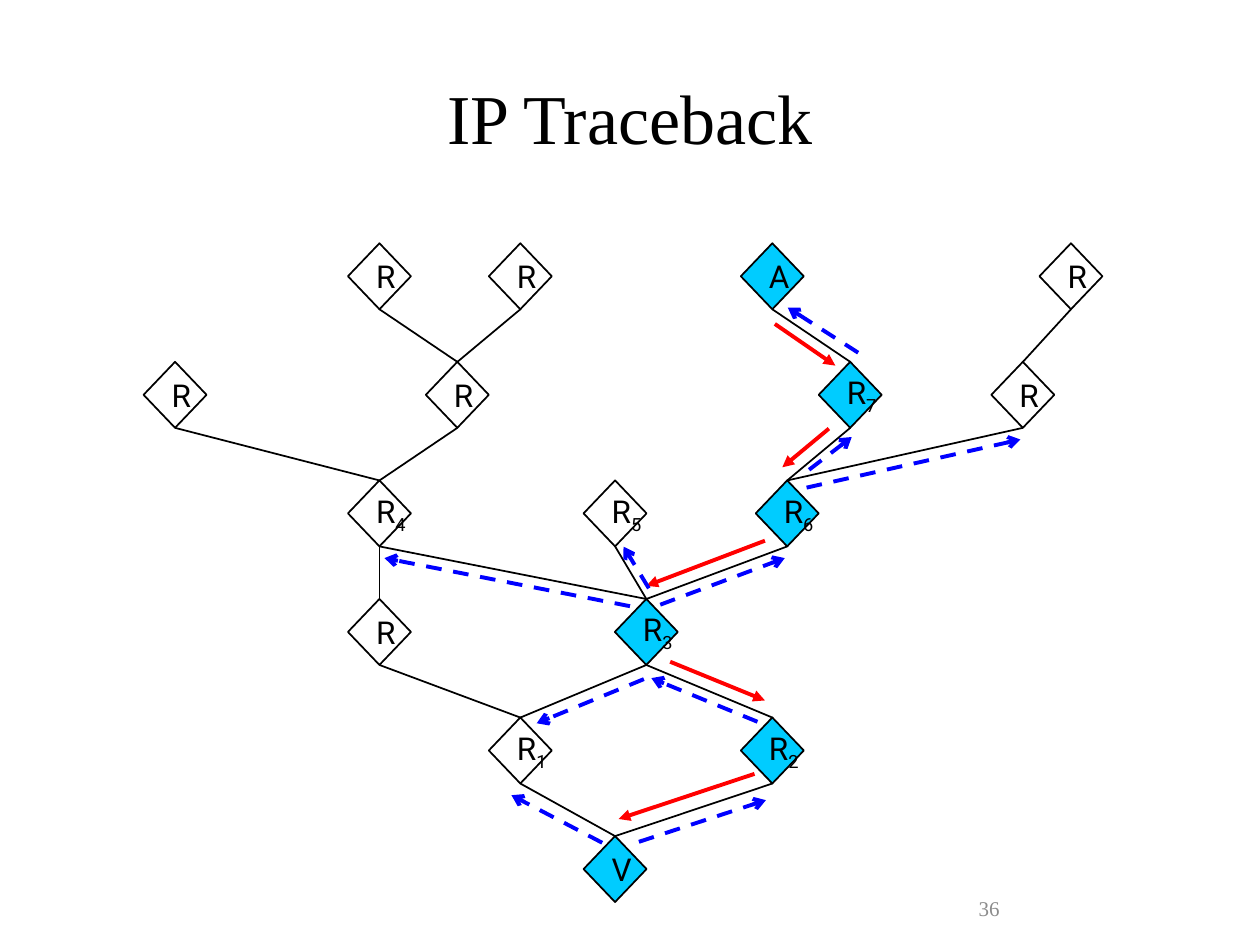
import lxml.etree
import pptx
import pptx.dml.color
import pptx.enum.dml
import pptx.enum.shapes
import pptx.enum.text
import pptx.oxml.ns
import pptx.util
from pptx.util import Cm

BLACK, RED, BLUE, CYAN, GRAY = "000000", "FF0000", "0000FF", "00CCFF", "8C8C8C"
SERIF, SANS = "Times New Roman", "Roboto"
TOP_ROW, ROW_STEP = 5.57, 2.39
NODE_WIDTH, NODE_HEIGHT = 1.27, 1.33
TOP_SITE, BOTTOM_SITE = 0, 2

NODES = {
    "victim": ("V", "", 12.4, 5, CYAN),
    "r1": ("R", "1", 10.49, 4, None),
    "r2": ("R", "2", 15.57, 4, CYAN),
    "left low": ("R", "", 7.65, 3, None),
    "r3": ("R", "3", 13.03, 3, CYAN),
    "r4": ("R", "4", 7.65, 2, None),
    "r5": ("R", "5", 12.4, 2, None),
    "r6": ("R", "6", 15.87, 2, CYAN),
    "far left": ("R", "", 3.53, 1, None),
    "left high": ("R", "", 9.22, 1, None),
    "r7": ("R", "7", 17.14, 1, CYAN),
    "right high": ("R", "", 20.62, 1, None),
    "leaf one": ("R", "", 7.65, 0, None),
    "leaf two": ("R", "", 10.49, 0, None),
    "attacker": ("A", "", 15.57, 0, CYAN),
    "leaf three": ("R", "", 21.59, 0, None),
}

CHILDREN = {
    "victim": ["r1", "r2"],
    "r1": ["left low", "r3"],
    "r2": ["r3"],
    "left low": ["r4"],
    "r3": ["r4", "r5", "r6"],
    "r4": ["far left", "left high"],
    "r6": ["r7", "right high"],
    "left high": ["leaf one", "leaf two"],
    "r7": ["attacker"],
    "right high": ["leaf three"],
}

ATTACK_ARROWS = [
    (15.62, 6.53, 16.84, 7.37),
    (16.71, 8.64, 15.77, 9.42),
    (15.42, 10.9, 13.03, 11.81),
    (13.51, 13.34, 15.42, 14.12),
    (15.21, 15.6, 12.47, 16.51),
]

TRACEBACK_ARROWS = [
    (15.27, 14.55, 13.13, 13.67),
    (12.88, 16.97, 15.44, 16.13),
    (12.14, 16.99, 10.31, 16.03),
    (12.7, 12.22, 7.75, 11.25),
    (13.31, 12.19, 15.82, 11.25),
    (13.08, 11.86, 12.57, 11.02),
    (16.26, 9.83, 20.57, 8.86),
    (16.31, 9.47, 17.17, 8.81),
    (17.3, 7.11, 15.88, 6.2),
    (12.98, 13.69, 10.82, 14.58),
]


def color(value):
    return pptx.dml.color.RGBColor.from_string(value)


class Diagram:
    """Draws styled network diagram elements on the current slide."""

    def __init__(self, slide):
        self.slide = slide

    def format_text(self, frame, font, size, ink, align):
        frame.vertical_anchor = pptx.enum.text.MSO_ANCHOR.MIDDLE
        for para in frame.paragraphs:
            para.alignment = align
            for span in para.runs:
                span.font.name = font
                span.font.size = pptx.util.Pt(size)
                span.font.color.rgb = color(ink)

    def title(self, text):
        box = self.slide.shapes.title
        box.left, box.top, box.width, box.height = Cm(1.27), Cm(0.76), Cm(22.86), Cm(3.18)
        box.text_frame.text = text
        self.format_text(box.text_frame, SERIF, 40, BLACK, pptx.enum.text.PP_ALIGN.CENTER)

    def page_number(self, text):
        box = self.slide.shapes.add_textbox(Cm(19.48), Cm(17.98), Cm(5.92), Cm(0.64))
        box.text_frame.word_wrap = True
        box.text_frame.text = text
        self.format_text(box.text_frame, SERIF, 12, GRAY, pptx.enum.text.PP_ALIGN.LEFT)

    def node(self, letter, index, center, row, fill):
        box = self.slide.shapes.add_shape(
            pptx.enum.shapes.MSO_SHAPE.DIAMOND,
            Cm(center - NODE_WIDTH / 2),
            Cm(TOP_ROW + row * ROW_STEP - NODE_HEIGHT / 2),
            Cm(NODE_WIDTH),
            Cm(NODE_HEIGHT),
        )
        box.shadow.inherit = False
        if fill:
            box.fill.solid()
            box.fill.fore_color.rgb = color(fill)
        else:
            box.fill.background()
        box.line.color.rgb = color(BLACK)
        box.line.width = pptx.util.Pt(1)
        frame = box.text_frame
        frame.word_wrap = False
        frame.text = letter
        if index:
            span = frame.paragraphs[0].add_run()
            span.text = index
            span._r.get_or_add_rPr().set("baseline", "-25000")
        self.format_text(frame, SANS, 18, BLACK, pptx.enum.text.PP_ALIGN.LEFT)
        return box

    def line(self, ends, ink, width, head=None, dashed=False):
        connector = self.slide.shapes.add_connector(
            pptx.enum.shapes.MSO_CONNECTOR.STRAIGHT, *map(Cm, ends)
        )
        connector.line.color.rgb = color(ink)
        connector.line.width = pptx.util.Pt(width)
        if dashed:
            connector.line.dash_style = pptx.enum.dml.MSO_LINE.DASH
        properties = connector._element.spPr
        if head:
            outline = properties.find(pptx.oxml.ns.qn("a:ln"))
            lxml.etree.SubElement(outline, pptx.oxml.ns.qn("a:tailEnd"), type=head)
        lxml.etree.SubElement(properties, pptx.oxml.ns.qn("a:effectLst"))
        return connector

    def link(self, parent, child):
        connector = self.line((0, 0, 0, 0), BLACK, 1)
        connector.begin_connect(parent, TOP_SITE)
        connector.end_connect(child, BOTTOM_SITE)


def main():
    deck = pptx.Presentation()
    deck.slide_width, deck.slide_height = Cm(25.4), Cm(19.05)
    diagram = Diagram(deck.slides.add_slide(deck.slide_layouts.get_by_name("Title Only")))
    diagram.page_number("36")
    diagram.title("IP Traceback")
    boxes = {name: diagram.node(*details) for name, details in NODES.items()}
    for parent, children in CHILDREN.items():
        for child in children:
            diagram.link(boxes[parent], boxes[child])
    for ends in ATTACK_ARROWS:
        diagram.line(ends, RED, 2.25, "triangle")
    for ends in TRACEBACK_ARROWS:
        diagram.line(ends, BLUE, 2.25, "arrow", dashed=True)
    deck.save("out.pptx")


if __name__ == "__main__":
    main()
